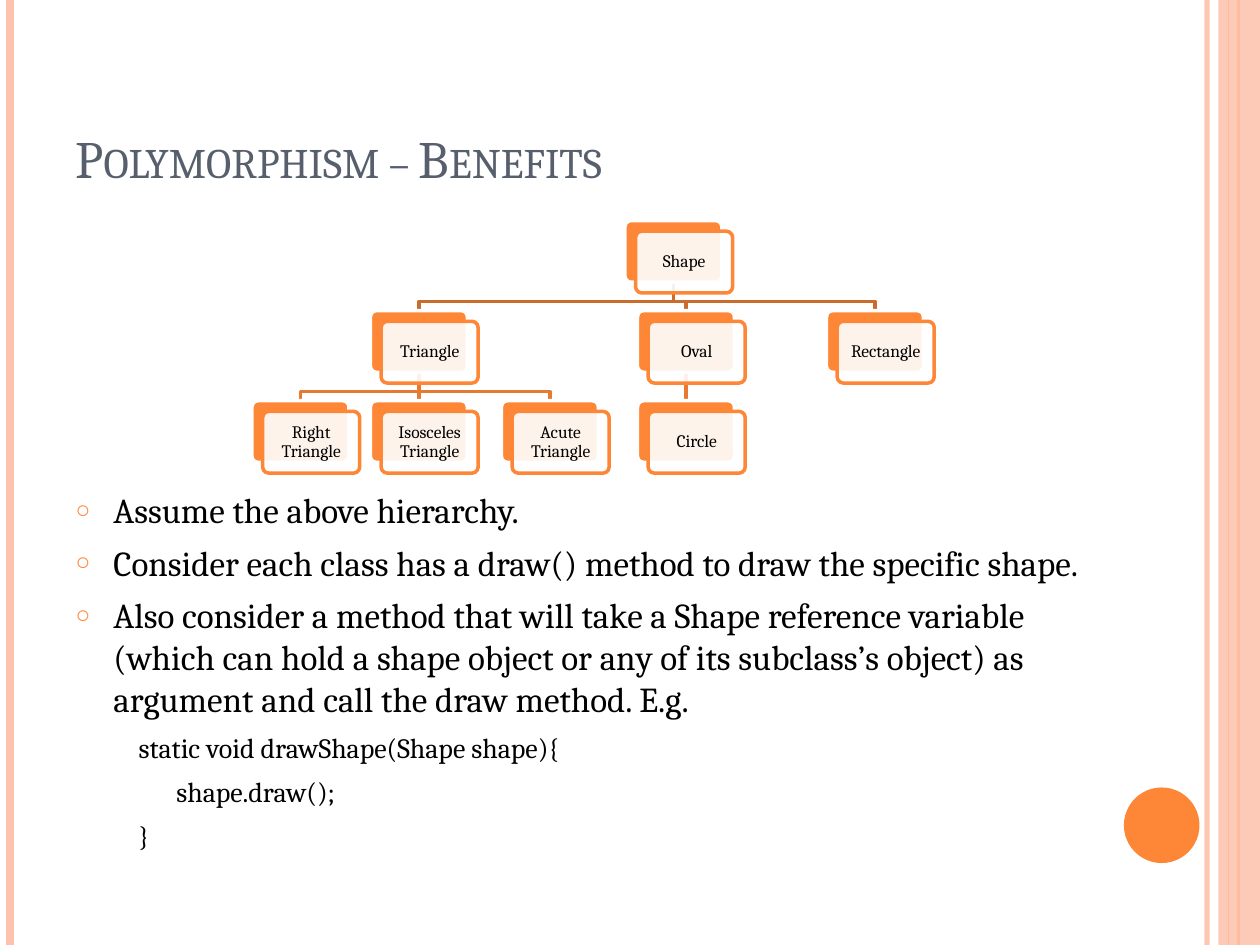
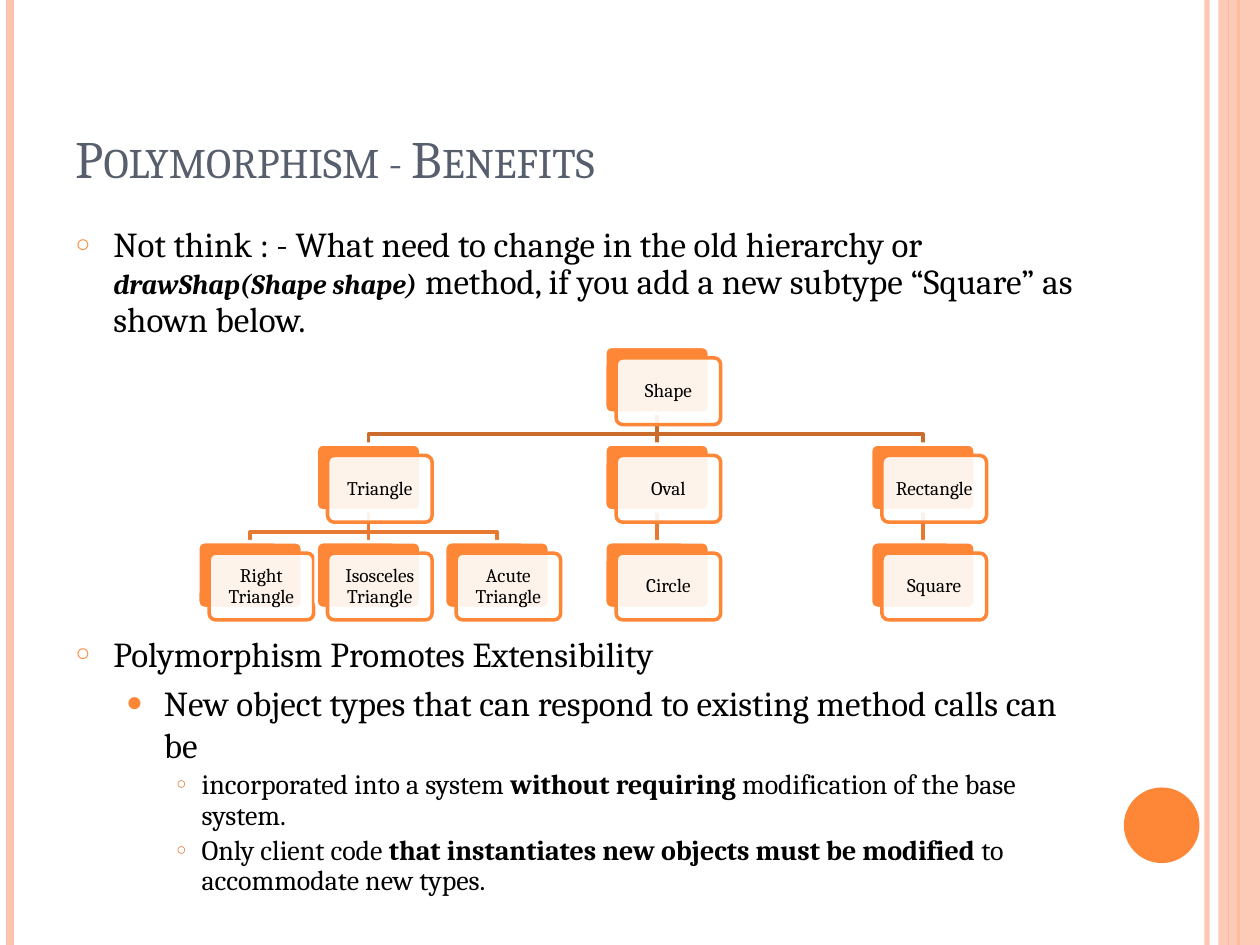
"""Build two slides on the benefits of polymorphism, each with a class tree."""
from lxml import etree
from pptx import Presentation
from pptx.dml.color import RGBColor
from pptx.enum.shapes import MSO_CONNECTOR, MSO_SHAPE
from pptx.enum.text import MSO_ANCHOR, MSO_AUTO_SIZE, PP_ALIGN
from pptx.oxml.ns import qn
from pptx.util import Inches, Pt

STRAIGHT = MSO_CONNECTOR.STRAIGHT
RECTANGLE, ROUNDED, OVAL = MSO_SHAPE.RECTANGLE, MSO_SHAPE.ROUNDED_RECTANGLE, MSO_SHAPE.OVAL
TOP, MIDDLE, BOTTOM = MSO_ANCHOR.TOP, MSO_ANCHOR.MIDDLE, MSO_ANCHOR.BOTTOM
LEFT, CENTER = PP_ALIGN.LEFT, PP_ALIGN.CENTER
NO_FIT = MSO_AUTO_SIZE.NONE

FONT = "Cambria"
ORANGE, PEACH, SLATE, WHITE, BLACK = "FE8637", "FEC3AE", "575F6D", "FFFFFF", "000000"
BRANCH_COLORS = {1: "CB6B2C", 2: "E77A32"}
PAGE_WIDTH, PAGE_HEIGHT = 10, 7.5
TITLE_AREA = (0.5, 0.3, 8.17, 1.25)
BEND = 0.68

MASTER_LINES = [(9.58, PEACH, 3, 93), (0.08, PEACH, 4.5, 100), (9.83, ORANGE, 1.5, 100),
                (9.75, ORANGE, 0.75, 100)]
MASTER_SHAPES = [(RECTANGLE, (9.67, 0, 0.33, PAGE_HEIGHT), PEACH, 87),
                 (OVAL, (8.92, 6.25, 0.6, 0.6), ORANGE, 100)]

OPEN_BULLET, FULL_BULLET, SMALL_BULLET = ("○", ORANGE, 70), ("●", ORANGE, 80), ("○", "E0752F", 60)
STYLES = {
    "point": dict(level=0, margin=0.3, hang=-0.3, size=20, before=6, spacing=1, bullet=OPEN_BULLET),
    "tight": dict(level=0, margin=0.3, hang=-0.3, size=20, before=6, spacing=0.9, bullet=OPEN_BULLET),
    "below tree": dict(level=0, margin=0.3, hang=-0.3, size=20, before=167, spacing=1,
                       bullet=OPEN_BULLET),
    "code": dict(level=1, margin=0.5, hang=0, size=16, before=6, spacing=1, bullet=None),
    "code inner": dict(level=1, margin=0.8, hang=0, size=16, before=6, spacing=1, bullet=None),
    "sub": dict(level=1, margin=0.7, hang=-0.3, size=20, before=4, spacing=1, bullet=FULL_BULLET),
    "detail": dict(level=2, margin=1, hang=-0.2, size=16, before=3, spacing=0.9,
                   bullet=SMALL_BULLET),
}

SLIDES = [
    {
        "title": "Polymorphism – Benefits",
        "body_area": (0.5, 3.83, 8.58, 2.91),
        "body": [
            ("point", [("Assume the above hierarchy.", "plain")]),
            ("point", [("Consider each class has a draw() method to draw the specific shape.",
                        "plain")]),
            ("point", [("Also consider a method that will take a Shape reference variable (which "
                        "can hold a shape object or any of its subclass’s object) as argument "
                        "and call the draw method. E.g.", "plain")]),
            ("code", [("static void drawShape(Shape shape){", "plain")]),
            ("code inner", [("shape.draw();", "plain")]),
            ("code", [("}", "plain")]),
        ],
        "tree": {
            "top": 1.75, "pitch": 0.715, "card": (0.77, 0.49), "shift": 0.085, "size": 10,
            "nodes": [("Shape", None, 0, 4.96), ("Triangle", "Shape", 1, 2.94),
                      ("Right Triangle", "Triangle", 2, 2), ("Isosceles Triangle", "Triangle", 2, 2.94),
                      ("Acute Triangle", "Triangle", 2, 3.98), ("Rectangle", "Shape", 1, 6.56),
                      ("Oval", "Shape", 1, 5.06), ("Circle", "Oval", 2, 5.06)],
        },
    },
    {
        "title": "Polymorphism - Benefits",
        "body_area": (0.5, 1.75, 8.17, 5.33),
        "body": [
            ("tight", [("Not think : - What need to change in the old hierarchy or ", "plain"),
                       ("drawShap(Shape shape)", "signature"),
                       (" method, if you add a new subtype “Square” as shown below.", "plain")]),
            ("below tree", [("Polymorphism Promotes Extensibility", "plain")]),
            ("sub", [("New object types that can respond to existing method calls can be", "plain")]),
            ("detail", [("incorporated into a system ", "plain"), ("without requiring", "bold"),
                        (" modification of the base system.", "plain")]),
            ("detail", [("Only client code ", "plain"),
                        ("that instantiates new objects must be modified", "bold"),
                        (" to accommodate new types.", "plain")]),
        ],
        "tree": {
            "top": 2.75, "pitch": 0.775, "card": (0.83, 0.53), "shift": 0.09, "size": 11,
            "nodes": [("Shape", None, 0, 4.8), ("Triangle", "Shape", 1, 2.51),
                      ("Right Triangle", "Triangle", 2, 1.57),
                      ("Isosceles Triangle", "Triangle", 2, 2.51),
                      ("Acute Triangle", "Triangle", 2, 3.53), ("Rectangle", "Shape", 1, 6.91),
                      ("Square", "Rectangle", 2, 6.91), ("Oval", "Shape", 1, 4.8),
                      ("Circle", "Oval", 2, 4.8)],
        },
    },
]


def color(value):
    """Turn a hex string into a colour."""
    return RGBColor.from_string(value)


def set_opacity(shape, query, percent):
    """Make the colour found by the query partly transparent."""
    if percent < 100:
        for tint in shape.element.spPr.xpath(query + "a:solidFill/a:srgbClr"):
            etree.SubElement(tint, qn("a:alpha"), val=str(percent * 1000))


def style_line(shape, line_color, width):
    """Set the colour and width of a line."""
    shape.line.color.rgb = color(line_color)
    shape.line.width = Pt(width)


def add_line(shapes, start, end, line_color, width, opacity=100):
    """Add a straight line without a shadow."""
    line = shapes.add_connector(STRAIGHT, *map(Inches, start + end))
    style_line(line, line_color, width)
    set_opacity(line, "a:ln/", opacity)
    etree.SubElement(line.element.spPr, qn("a:effectLst"))
    return line


def add_block(shapes, kind, area, fill, opacity=100, outline=None):
    """Add a filled preset shape without a shadow."""
    block = shapes.add_shape(kind, *map(Inches, area))
    block.shadow.inherit = False
    block.fill.solid()
    block.fill.fore_color.rgb = color(fill)
    set_opacity(block, "", opacity)
    if outline:
        style_line(block, outline, 2)
    else:
        block.line.fill.background()
    return block


def style_span(span, size, font_color=BLACK):
    """Set the font of a run."""
    span.font.name = FONT
    span.font.size = Pt(size)
    span.font.color.rgb = color(font_color)


def decorate_master(master, page):
    """Draw the shared bands and circle and hand them to the master."""
    parts = [add_line(page.shapes, (x, 0), (x, PAGE_HEIGHT), tint, width, opacity)
             for x, tint, width, opacity in MASTER_LINES]
    parts += [add_block(page.shapes, *entry) for entry in MASTER_SHAPES]
    for number, part in enumerate(parts, 100):
        part.element.xpath(".//p:cNvPr")[0].set("id", str(number))
        master.shapes.element.append(part.element)


def place(shape, area, anchor):
    """Move a placeholder and fix how its text sits."""
    shape.left, shape.top, shape.width, shape.height = map(Inches, area)
    shape.text_frame.auto_size = NO_FIT
    shape.text_frame.word_wrap = True
    shape.text_frame.vertical_anchor = anchor


def fill_title(title, text):
    """Write the title in small capitals."""
    place(title, TITLE_AREA, BOTTOM)
    title.text_frame.text = text
    para = title.text_frame.paragraphs[0]
    para.alignment = LEFT
    style_span(para.runs[0], 30, SLATE)
    para.runs[0].font._element.set("cap", "small")


def set_bullet(para, margin, hang, bullet):
    """Set the indents and the bullet of a paragraph."""
    props = para._p.get_or_add_pPr()
    props.set("marL", str(Inches(margin)))
    props.set("indent", str(Inches(hang)))
    if not bullet:
        etree.SubElement(props, qn("a:buNone"))
        return
    sign, tint, percent = bullet
    holder = etree.SubElement(props, qn("a:buClr"))
    etree.SubElement(holder, qn("a:srgbClr"), val=tint)
    etree.SubElement(props, qn("a:buSzPct"), val=str(percent * 1000))
    etree.SubElement(props, qn("a:buChar"), char=sign)


def fill_body(body, area, entries):
    """Write the body list."""
    place(body, area, TOP)
    frame = body.text_frame
    for index, (name, spans) in enumerate(entries):
        style = STYLES[name]
        para = frame.add_paragraph() if index else frame.paragraphs[0]
        para.level = style["level"]
        para.line_spacing = style["spacing"]
        para.space_before = Pt(style["before"])
        set_bullet(para, style["margin"], style["hang"], style["bullet"])
        for text, look in spans:
            span = para.add_run()
            span.text = text
            style_span(span, 16 if look == "signature" else style["size"])
            span.font.bold = look != "plain"
            span.font.italic = look == "signature"


def add_branch(shapes, start, end, tint):
    """Join a parent to a child, with a bend where they are not aligned."""
    if start[0] == end[0]:
        add_line(shapes, start, end, tint, 2)
        return
    bend = start[1] + BEND * (end[1] - start[1])
    points = [start, (start[0], bend), (end[0], bend), end]
    corners = [tuple(map(Inches, point)) for point in points]
    builder = shapes.build_freeform(*corners[0])
    builder.add_line_segments(corners[1:], close=False)
    branch = builder.convert_to_shape()
    branch.shadow.inherit = False
    branch.fill.background()
    style_line(branch, tint, 2)


def add_card(shapes, name, left, top, tree):
    """Add a class card with its orange backing."""
    width, height = tree["card"]
    shift = tree["shift"]
    backing = add_block(shapes, ROUNDED, (left, top, width, height), ORANGE, 100, WHITE)
    card = add_block(shapes, ROUNDED, (left + shift, top + shift, width, height), WHITE, 90, ORANGE)
    for box in (backing, card):
        box.adjustments[0] = 0.1
    frame = card.text_frame
    frame.word_wrap = True
    frame.vertical_anchor = MIDDLE
    frame.margin_left = frame.margin_right = Inches(0.05)
    frame.margin_top = frame.margin_bottom = Inches(0.05)
    frame.text = name
    para = frame.paragraphs[0]
    para.alignment = CENTER
    para.line_spacing = 0.9
    style_span(para.runs[0], tree["size"])


def add_tree(page, tree):
    """Draw the class tree, branches first."""
    shapes = page.shapes.add_group_shape().shapes
    width, height = tree["card"]
    spots = {name: (left, tree["top"] + level * tree["pitch"])
             for name, _, level, left in tree["nodes"]}
    for name, parent, level, left in tree["nodes"]:
        if parent:
            parent_left, parent_top = spots[parent]
            add_branch(shapes, (parent_left + width / 2, parent_top + height),
                       (left + width / 2, spots[name][1]), BRANCH_COLORS[level])
    for name, (left, top) in spots.items():
        add_card(shapes, name, left, top, tree)


deck = Presentation()
deck.slide_width, deck.slide_height = Inches(PAGE_WIDTH), Inches(PAGE_HEIGHT)
for content in SLIDES:
    page = deck.slides.add_slide(deck.slide_layouts[1])
    fill_title(page.shapes.title, content["title"])
    fill_body(page.placeholders[1], content["body_area"], content["body"])
    add_tree(page, content["tree"])
decorate_master(deck.slide_master, deck.slides[0])
deck.save("out.pptx")
